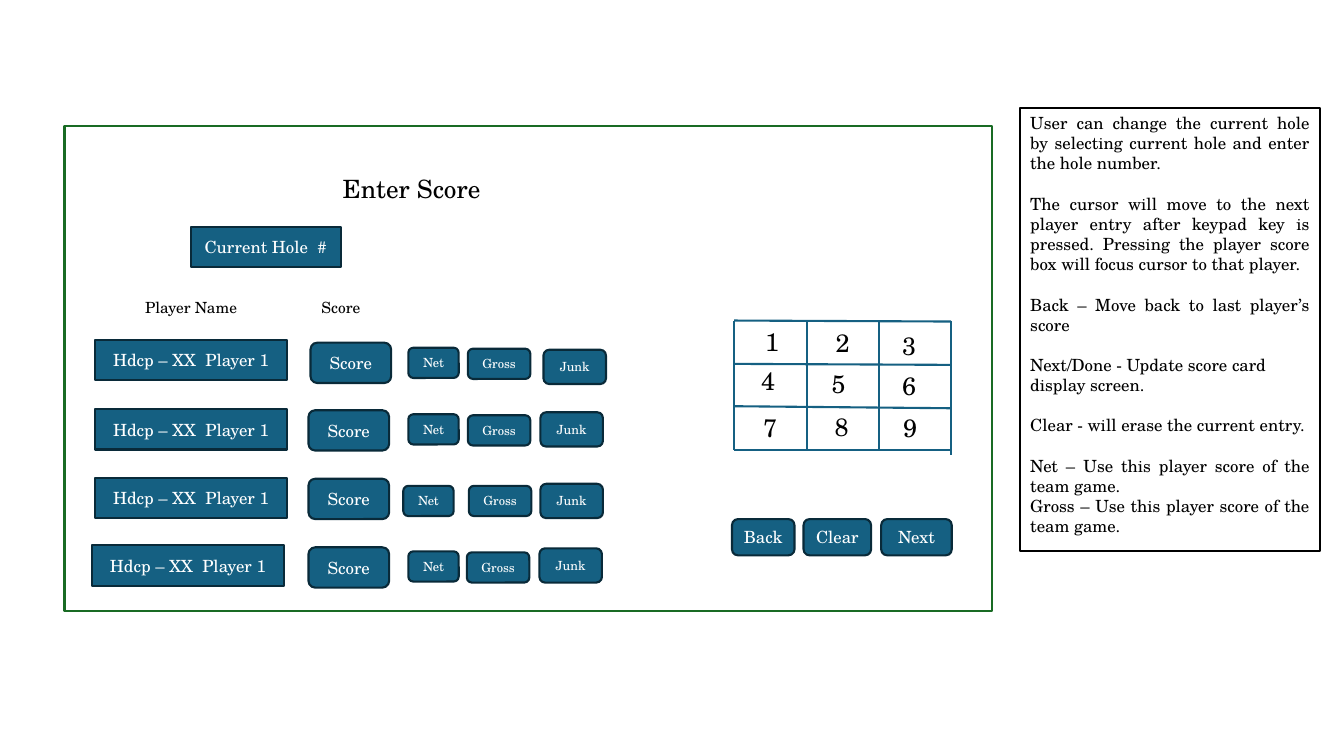
"""Build the Enter Score screen mock-up with its explanatory notes."""
import pptx
import pptx.util
import pptx.dml.color
import pptx.enum.shapes
import pptx.enum.text
import pptx.oxml

PX = 9144
FONT = "TeX Gyre Schola"
COLORS = {
    "white": "FFFFFF",
    "black": "000000",
    "frame": "196B24",
    "button": "156082",
    "button_edge": "092A39",
}
RECTANGLE = pptx.enum.shapes.MSO_SHAPE.RECTANGLE
ROUNDED = pptx.enum.shapes.MSO_SHAPE.ROUNDED_RECTANGLE
ALIGN = pptx.enum.text.PP_ALIGN


def add_run(paragraph, text, size, color):
    run = paragraph.add_run()
    run.text = text
    run.font.size = pptx.util.Pt(size)
    run.font.name = FONT
    run.font.color.rgb = pptx.dml.color.RGBColor.from_string(COLORS[color])


def add_box(shapes, kind, place, text="", size=12, fill="button", edge="button_edge"):
    bounds = [length * PX for length in place]
    if kind is None:
        shape = shapes.add_textbox(*bounds)
        shape.text_frame.word_wrap = False
        add_run(shape.text_frame.paragraphs[0], text, size, "black")
        return shape
    shape = shapes.add_shape(kind, *bounds)
    shape.shadow.inherit = False
    shape.fill.solid()
    shape.fill.fore_color.rgb = pptx.dml.color.RGBColor.from_string(COLORS[fill])
    shape.line.color.rgb = pptx.dml.color.RGBColor.from_string(COLORS[edge])
    shape.line.width = pptx.util.Pt(1.5)
    if text:
        paragraph = shape.text_frame.paragraphs[0]
        paragraph.alignment = ALIGN.CENTER
        add_run(paragraph, text, size, "white")
    return shape


presentation = pptx.Presentation()
presentation.slide_width = 1333 * PX
presentation.slide_height = 750 * PX
slide = presentation.slides.add_slide(presentation.slide_layouts[6])

add_box(slide.shapes, RECTANGLE, (64, 125, 920, 481), fill="white", edge="frame")

notes = [
    ("User can change the current hole by selecting current hole and enter the hole number.", ALIGN.JUSTIFY, 0),
    ("The cursor will move to the next player entry after keypad key is pressed. "
     "Pressing the player score box will focus cursor to that player.", ALIGN.JUSTIFY, 14.4),
    ("Back – Move back to last player’s score", ALIGN.JUSTIFY, 14.4),
    ("Next/Done - Update score card display screen.", ALIGN.LEFT, 14.4),
    ("Clear - will erase the current entry.", ALIGN.JUSTIFY, 14.4),
    ("Net – Use this player score of the team game.", ALIGN.JUSTIFY, 14.4),
    ("Gross – Use this player score of the team game.", ALIGN.JUSTIFY, 0),
]
notes_box = add_box(slide.shapes, RECTANGLE, (1012, 107, 297, 440), fill="white", edge="black")
notes_frame = notes_box.text_frame
notes_frame.vertical_anchor = pptx.enum.text.MSO_ANCHOR.TOP
for index, (text, alignment, gap) in enumerate(notes):
    paragraph = notes_frame.add_paragraph() if index else notes_frame.paragraphs[0]
    paragraph.alignment = alignment
    paragraph.space_before = pptx.util.Pt(gap)
    add_run(paragraph, text, 12, "black")

add_box(slide.shapes, None, (330, 167, 158, 40), "Enter Score", 18)
add_box(slide.shapes, RECTANGLE, (189, 225, 149, 40), "Current Hole  #")
add_box(slide.shapes, None, (134, 291, 112, 29), "Player Name", 11)
add_box(slide.shapes, None, (309, 291, 59, 29), "Score", 11)

player_rows = [
    ((94, 337), (308, 340), (405, 345), (464, 346), (539, 347)),
    ((94, 406), (306, 407), (405, 411), (464, 412), (536, 409)),
    ((94, 474), (306, 475), (400, 482), (465, 482), (536, 480)),
    ((91, 541), (306, 543), (405, 547), (463, 548), (535, 544)),
]
player_columns = [
    (RECTANGLE, "Hdcp – XX  Player 1", 12, (191, 40)),
    (ROUNDED, "Score", 12, (80, 40)),
    (ROUNDED, "Net", 9, (50, 30)),
    (ROUNDED, "Gross", 9, (62, 30)),
    (ROUNDED, "Junk", 9, (62, 34)),
]
for corners in player_rows:
    for corner, (kind, text, size, extent) in zip(corners, player_columns):
        add_box(slide.shapes, kind, corner + extent, text, size)

keypad = slide.shapes.add_group_shape()
keypad_lines = [
    (728, 318, 943, 319), (728, 361, 943, 362), (728, 403, 943, 405), (728, 446, 943, 446),
    (728, 318, 728, 446), (800, 318, 800, 446), (872, 318, 872, 445), (943, 318, 943, 451),
]
for ends in keypad_lines:
    line = keypad.shapes.add_connector(
        pptx.enum.shapes.MSO_CONNECTOR.STRAIGHT, *[length * PX for length in ends])
    line.line.color.rgb = pptx.dml.color.RGBColor.from_string(COLORS["button"])
    line.line.width = pptx.util.Pt(1.5)
    properties = line.element.spPr
    properties.append(properties.makeelement(pptx.oxml.ns.qn("a:effectLst"), {}))

digit_corners = [
    (749, 319), (819, 320), (885, 323),
    (745, 358), (815, 360), (885, 362),
    (747, 404), (818, 403), (886, 404),
]
for digit, corner in enumerate(digit_corners, start=1):
    add_box(keypad.shapes, None, corner + (34, 40), str(digit), 18)

for text, left, width in (("Back", 726, 62), ("Clear", 797, 67), ("Next", 874, 70)):
    add_box(slide.shapes, ROUNDED, (left, 515, width, 36), text)

presentation.save("out.pptx")
